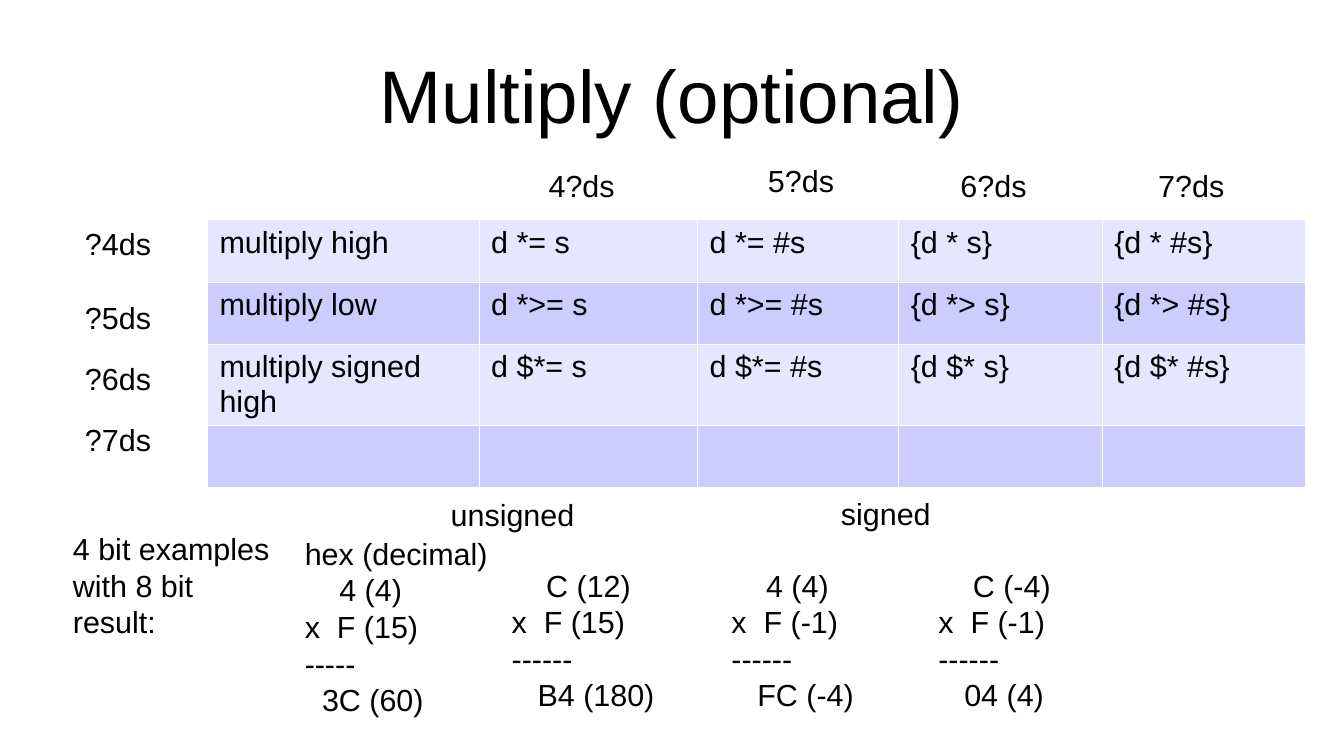
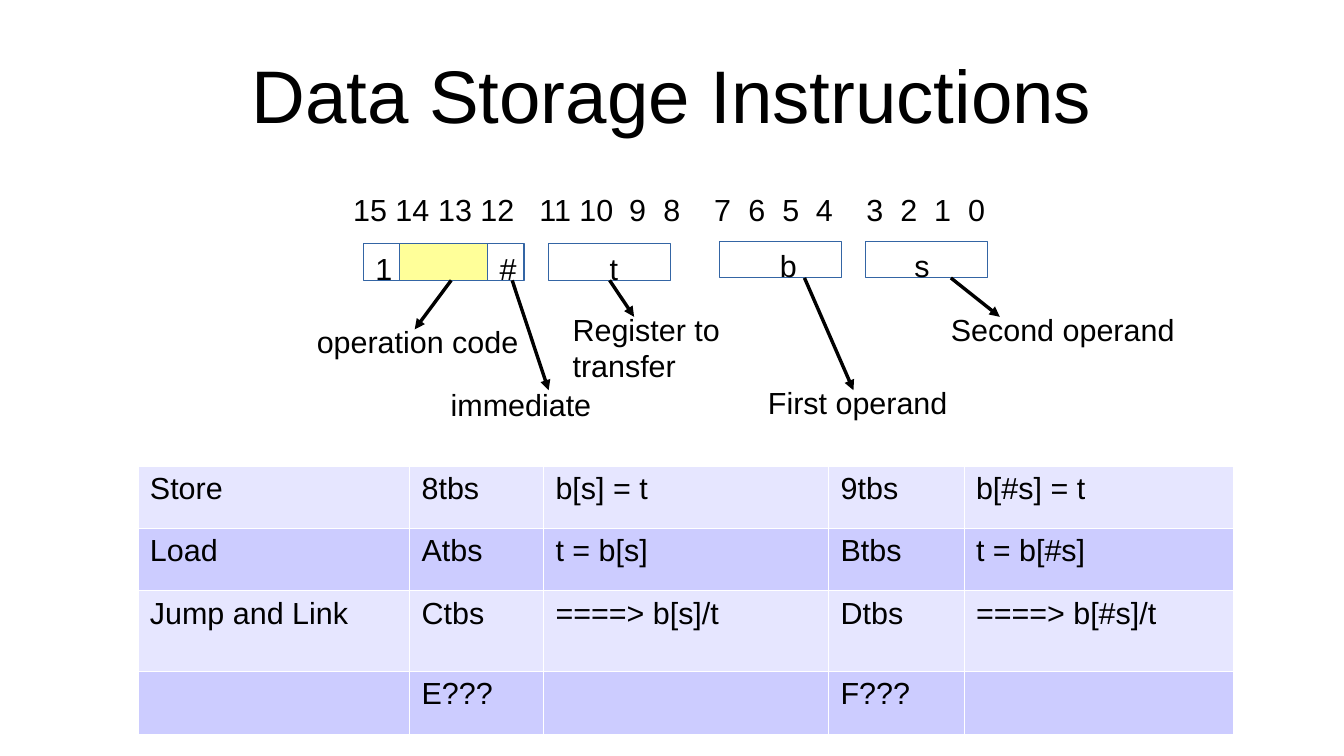
from lxml import etree
from pptx import Presentation
from pptx import util as u
from pptx.dml.color import RGBColor
from pptx.enum import shapes, text
from pptx.oxml.ns import qn

Cm, Pt = u.Cm, u.Pt
INK = {"text": "000000", "edge": "3465A4", "mark": "FFFF99",
       "pale": "E6E6FF", "deep": "CCCCFF", "rule": "FFFFFF"}
INK = {name: RGBColor.from_string(code) for name, code in INK.items()}
FONT, SIZE, HEAD = "Arial", Pt(18), Pt(44)


def write(slide, words, x, y, w, h=0.97, tabs=()):
    """Add a text box, one paragraph a line, and return its paragraphs."""
    box = slide.shapes.add_textbox(Cm(x), Cm(y), Cm(w), Cm(h))
    frame = box.text_frame
    frame.word_wrap = True
    frame.auto_size = text.MSO_AUTO_SIZE.SHAPE_TO_FIT_TEXT
    frame.text = words
    for para in frame.paragraphs:
        for run in para.runs:
            run.font.name, run.font.size = FONT, SIZE
            run.font.color.rgb = INK["text"]
        if tabs:
            stops = etree.SubElement(para._p.get_or_add_pPr(), qn("a:tabLst"))
            for stop in tabs:
                etree.SubElement(stops, qn("a:tab"), pos=str(Cm(stop)), algn="l")
    return frame.paragraphs


def grid(slide, x, y, cols, rows, data):
    """Add a banded table with hairline white rules."""
    table = slide.shapes.add_table(len(rows), len(cols), Cm(x), Cm(y),
                                   Cm(sum(cols)), Cm(sum(rows))).table
    table.first_row = table.horz_banding = False
    for col, wide in zip(table.columns, cols):
        col.width = Cm(wide)
    for r, (row, high) in enumerate(zip(data, rows)):
        table.rows[r].height = Cm(high)
        for c, words in enumerate(row):
            cell = table.cell(r, c)
            cell.fill.solid()
            cell.fill.fore_color.rgb = INK["deep" if r % 2 else "pale"]
            props = cell._tc.get_or_add_tcPr()
            for n, side in enumerate("LRTB"):
                rule = etree.Element(qn("a:ln" + side), w="720")
                fill = etree.SubElement(rule, qn("a:solidFill"))
                etree.SubElement(fill, qn("a:srgbClr"), val=str(INK["rule"]))
                props.insert(n, rule)
            if words:
                cell.text = words
                font = cell.text_frame.paragraphs[0].runs[0].font
                font.name, font.size = FONT, SIZE
                font.color.rgb = INK["text"]


deck = Presentation()
deck.slide_width, deck.slide_height = Cm(28), Cm(15.75)

# Titles
pages = []
for words in ("Multiply (optional)", "Data Storage Instructions"):
    page = deck.slides.add_slide(deck.slide_layouts[5])
    title = page.shapes.title
    title.left, title.top = Cm(1.4), Cm(0.63)
    title.width, title.height = Cm(25.2), Cm(2.64)
    frame = title.text_frame
    frame.text = words
    frame.vertical_anchor = text.MSO_ANCHOR.MIDDLE
    frame.margin_left = frame.margin_right = 0
    frame.margin_top = frame.margin_bottom = 0
    para = frame.paragraphs[0]
    para.alignment = text.PP_ALIGN.CENTER
    font = para.runs[0].font
    font.name, font.size = FONT, HEAD
    font.color.rgb = INK["text"]
    pages.append(page)
times, store = pages

# Multiply: opcode table with its row and column codes
grid(times, 4.32, 4.57, (5.66, 4.55, 4.19, 4.24, 4.22), (1.3,) * 4, (
    ("multiply high", "d *= s", "d *= #s", "{d * s}", "{d * #s}"),
    ("multiply low", "d *>= s", "d *>= #s", "{d *> s}", "{d *> #s}"),
    ("multiply signed high", "d $*= s", "d $*= #s", "{d $* s}", "{d $* #s}"),
    ("",) * 5))
for n, (x, y) in enumerate(((11.18, 3.35), (15.75, 3.25), (19.76, 3.35), (23.88, 3.35)), 4):
    write(times, f"{n}?ds", x, y, 2.03)
for n, y in enumerate((4.57, 6.1, 7.37, 8.64), 4):
    write(times, f"?{n}ds", 1.52, y, 2.29)

# Multiply: worked sums
write(times, "4 bit examples with 8 bit result:", 1.27, 10.92, 4.83, 2.39)
write(times, "unsigned", 9.14, 10.21, 3.3)
write(times, "signed", 17.27, 10.19, 4.06)
SPACE = 0.18
sums = (
    (6.1, 11.02, 4.57, (0, 4, 0, 0, 2), "hex (decimal)\n4 (4)\nx\tF (15)\n-----\n3C (60)"),
    (10.41, 11.68, 3.56, (4, 0, 0, 3), "C (12)\nx\tF (15)\n------\nB4 (180)"),
    (14.99, 11.68, 3.3, (4, 0, 0, 3), "4 (4)\nx\tF (-1)\n------\nFC (-4)"),
    (19.3, 11.68, 3.05, (4, 0, 0, 3), "C (-4)\nx\tF (-1)\n------\n04 (4)"))
for x, y, w, dents, words in sums:
    paras = write(times, words, x, y, w, 0.25 + 0.77 * len(dents), (0.67,))
    for para, dent in zip(paras, dents):
        para._p.get_or_add_pPr().set("marL", str(Cm(dent * SPACE)))

# Storage: bit numbers over the instruction fields
bits = "\t".join(str(n) for n in range(15, -1, -1))
write(store, bits, 7.11, 3.86, 14.48, tabs=(
    0.88, 1.77, 2.65, 3.88, 4.71, 5.75, 6.46, 7.52,
    8.23, 8.94, 9.64, 10.69, 11.4, 12.1, 12.81))
fields = {}
for name, x, y, w in (("s", 18.03, 5.03, 2.54), ("b", 14.99, 5.03, 2.54),
                      ("#", 10.16, 5.08, 0.76), ("1", 7.57, 5.08, 0.76),
                      ("code", 8.33, 5.08, 1.83), ("t", 11.43, 5.08, 2.54)):
    box = store.shapes.add_shape(shapes.MSO_SHAPE.RECTANGLE, Cm(x), Cm(y), Cm(w), Cm(0.76))
    box.shadow.inherit = False
    box.line.color.rgb, box.line.width = INK["edge"], Pt(0)
    if name == "code":
        box.fill.solid()
        box.fill.fore_color.rgb = INK["mark"]
    else:
        box.fill.background()
    fields[name] = box

# Storage: field letters and their meanings
for words, x, y, w in (
        ("b", 16, 5.03, 1.27), ("s", 18.8, 5.03, 1.02), ("1", 7.57, 5.08, 0.76),
        ("#", 10.16, 5.08, 0.76), ("t", 12.45, 5.08, 0.76),
        ("operation code", 6.35, 6.6, 5.33), ("Second operand", 19.56, 6.35, 6.35),
        ("First operand", 15.75, 7.87, 4.57), ("immediate", 9.14, 7.92, 3.81)):
    write(store, words, x, y, w)
write(store, "Register to transfer", 11.68, 6.35, 4.32, 1.68)

for name, *ends in (("#", 10.67, 5.84, 11.43, 8.13), ("b", 16.76, 5.79, 17.78, 8.13),
                    ("s", 19.81, 5.79, 20.83, 6.6), ("code", 9.4, 5.84, 8.64, 6.86),
                    ("t", 12.7, 5.84, 13.21, 6.6)):
    arrow = store.shapes.add_connector(shapes.MSO_CONNECTOR.STRAIGHT, *map(Cm, ends))
    if name == "t":
        arrow.begin_connect(fields[name], 2)
    arrow.line.color.rgb, arrow.line.width = INK["text"], Pt(0)
    etree.SubElement(arrow.line._get_or_add_ln(), qn("a:tailEnd"), type="triangle")
    etree.SubElement(arrow._element.spPr, qn("a:effectLst"))

grid(store, 2.87, 9.7, (5.66, 2.79, 5.94, 2.82, 5.61), (1.3, 1.3, 1.68, 1.32), (
    ("Store", "8tbs", "b[s] = t", "9tbs", "b[#s] = t"),
    ("Load", "Atbs", "t = b[s]", "Btbs", "t = b[#s]"),
    ("Jump and Link", "Ctbs", "====> b[s]/t", "Dtbs", "====> b[#s]/t"),
    ("", "E???", "", "F???", "")))

deck.save("out.pptx")
